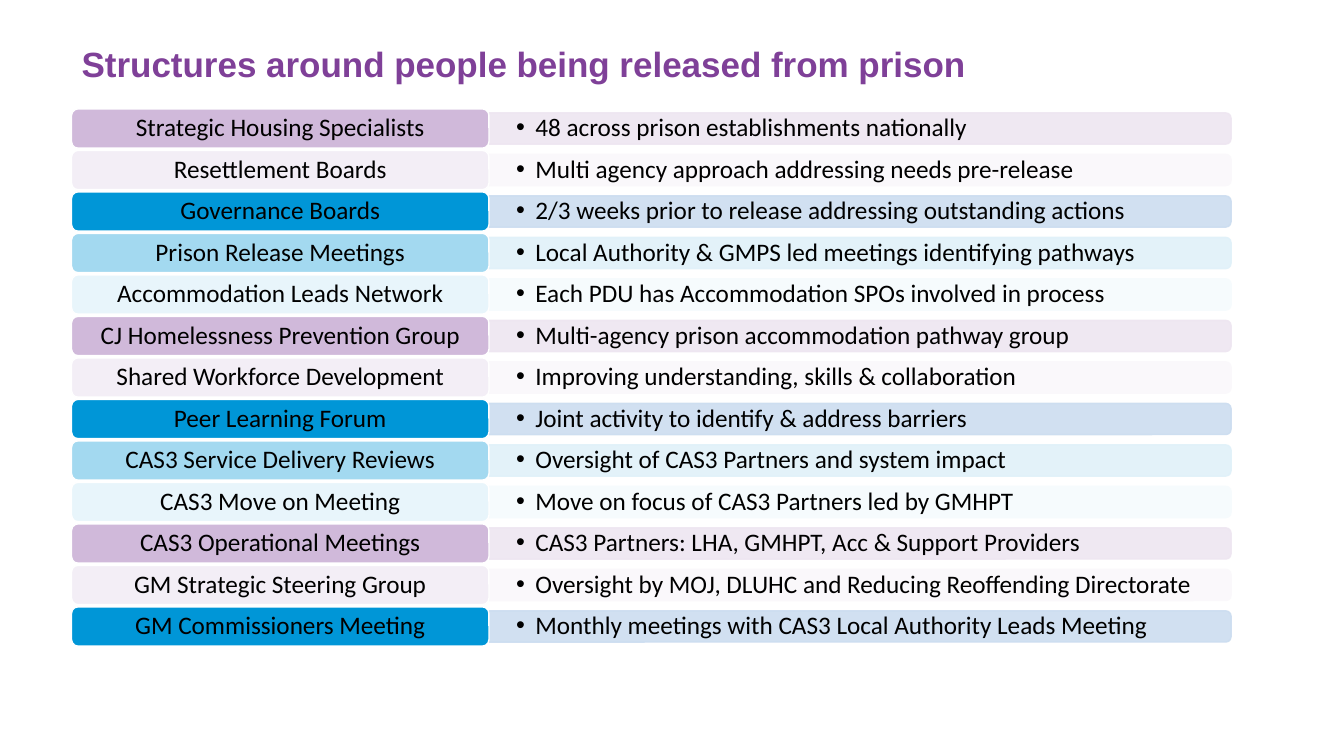
from dataclasses import dataclass

from lxml.etree import SubElement
from pptx import Presentation
from pptx.dml.color import RGBColor
from pptx.enum.shapes import MSO_SHAPE
from pptx.enum.text import MSO_ANCHOR, PP_ALIGN
from pptx.oxml.ns import qn
from pptx.util import Inches, Pt

TITLE = "Structures around people being released from prison"
STRUCTURES = [
    ("Strategic Housing Specialists", "48 across prison establishments nationally"),
    ("Resettlement Boards", "Multi agency approach addressing needs pre-release"),
    ("Governance Boards", "2/3 weeks prior to release addressing outstanding actions"),
    ("Prison Release Meetings", "Local Authority & GMPS led meetings identifying pathways"),
    ("Accommodation Leads Network", "Each PDU has Accommodation SPOs involved in process"),
    ("CJ Homelessness Prevention Group", "Multi-agency prison accommodation pathway group"),
    ("Shared Workforce Development", "Improving understanding, skills & collaboration"),
    ("Peer Learning Forum", "Joint activity to identify & address barriers"),
    ("CAS3 Service Delivery Reviews", "Oversight of CAS3 Partners and system impact"),
    ("CAS3 Move on Meeting", "Move on focus of CAS3 Partners led by GMHPT"),
    ("CAS3 Operational Meetings", "CAS3 Partners: LHA, GMHPT, Acc & Support Providers"),
    ("GM Strategic Steering Group", "Oversight by MOJ, DLUHC and Reducing Reoffending Directorate"),
    ("GM Commissioners Meeting", "Monthly meetings with CAS3 Local Authority Leads Meeting"),
]


@dataclass(frozen=True)
class Theme:
    title_font: str = "Arial"
    body_font: str = "Calibri"
    title_size: int = 25
    body_size: int = 18
    title: str = "7F4098"
    text: str = "000000"
    outline: str = "FFFFFF"
    row_fills: tuple = (
        ("D0B9DA", "EEE6F1"),
        ("F3EEF6", "FAF8FB"),
        ("0096D7", "CCDDF0"),
        ("A3D9F0", "E0F1F9"),
        ("E8F5FB", "F6FBFD"),
    )


THEME = Theme()
LEFT, FIRST_TOP, LAST_TOP = 0.71, 1.08, 6.02
PITCH = (LAST_TOP - FIRST_TOP) / (len(STRUCTURES) - 1)
LABEL_WIDTH, LABEL_HEIGHT = 4.14, 0.39
DETAIL_LEFT = LEFT + LABEL_WIDTH
DETAIL_WIDTH, DETAIL_HEIGHT = 7.36, 0.31


def style_text(frame, text, font_name, size, color, align, bulleted=False):
    """Write one paragraph, vertically centred, with an optional bullet."""
    frame.word_wrap = True
    frame.vertical_anchor = MSO_ANCHOR.MIDDLE
    paragraph = frame.paragraphs[0]
    paragraph.text = text
    paragraph.alignment = align
    paragraph.line_spacing = 0.9
    if bulleted:
        properties = paragraph._p.get_or_add_pPr()
        properties.set("marL", str(Inches(0.19)))
        properties.set("indent", str(Inches(-0.19)))
        SubElement(properties, qn("a:buFont"), typeface="Arial")
        SubElement(properties, qn("a:buChar"), char="•")
    font = paragraph.font
    font.name, font.size = font_name, Pt(size)
    font.color.rgb = RGBColor.from_string(color)
    return font


def add_panel(slide, preset, box, fill, outline):
    """Add a flat filled panel with a one-point outline."""
    panel = slide.shapes.add_shape(preset, *map(Inches, box))
    panel.shadow.inherit = False
    panel.fill.solid()
    panel.fill.fore_color.rgb = RGBColor.from_string(fill)
    panel.line.color.rgb = RGBColor.from_string(outline)
    panel.line.width = Pt(1)
    return panel


def add_detail(slide, middle, detail, fill):
    """Add the pale bar, rounded at its right end, and its bulleted text."""
    center = DETAIL_LEFT + DETAIL_WIDTH / 2
    upright = (center - DETAIL_HEIGHT / 2, middle - DETAIL_WIDTH / 2, DETAIL_HEIGHT, DETAIL_WIDTH)
    bar = add_panel(slide, MSO_SHAPE.ROUND_2_SAME_RECTANGLE, upright, fill, fill)
    bar.rotation = 90
    for color in bar._element.spPr.iter(qn("a:srgbClr")):
        SubElement(color, qn("a:alpha"), val="90000")
    box = (DETAIL_LEFT, middle - DETAIL_HEIGHT / 2, DETAIL_WIDTH, DETAIL_HEIGHT)
    frame = slide.shapes.add_textbox(*map(Inches, box)).text_frame
    frame.margin_left = frame.margin_right = Inches(0.27)
    frame.margin_top = frame.margin_bottom = 0
    style_text(frame, detail, THEME.body_font, THEME.body_size, THEME.text, PP_ALIGN.LEFT, True)


def add_label(slide, top, label, fill):
    """Add the rounded label at the left of a row."""
    box = (LEFT, top, LABEL_WIDTH, LABEL_HEIGHT)
    panel = add_panel(slide, MSO_SHAPE.ROUNDED_RECTANGLE, box, fill, THEME.outline)
    frame = panel.text_frame
    frame.margin_left = frame.margin_right = Inches(0.07)
    frame.margin_top = frame.margin_bottom = Inches(0.04)
    style_text(frame, label, THEME.body_font, THEME.body_size, THEME.text, PP_ALIGN.CENTER)


def main():
    """Build the slide and save it."""
    presentation = Presentation()
    presentation.slide_width, presentation.slide_height = Inches(13.33), Inches(7.5)
    slide = presentation.slides.add_slide(presentation.slide_layouts[5])
    title = slide.shapes.title
    title.left, title.top, title.width, title.height = map(Inches, (LEFT, 0.43, 11.5, 0.46))
    title_font = style_text(
        title.text_frame, TITLE, THEME.title_font, THEME.title_size, THEME.title, PP_ALIGN.LEFT
    )
    title_font.bold = True
    for row, (label, detail) in enumerate(STRUCTURES):
        top = FIRST_TOP + row * PITCH
        label_fill, detail_fill = THEME.row_fills[row % len(THEME.row_fills)]
        add_detail(slide, top + LABEL_HEIGHT / 2, detail, detail_fill)
        add_label(slide, top, label, label_fill)
    presentation.save("out.pptx")


if __name__ == "__main__":
    main()
